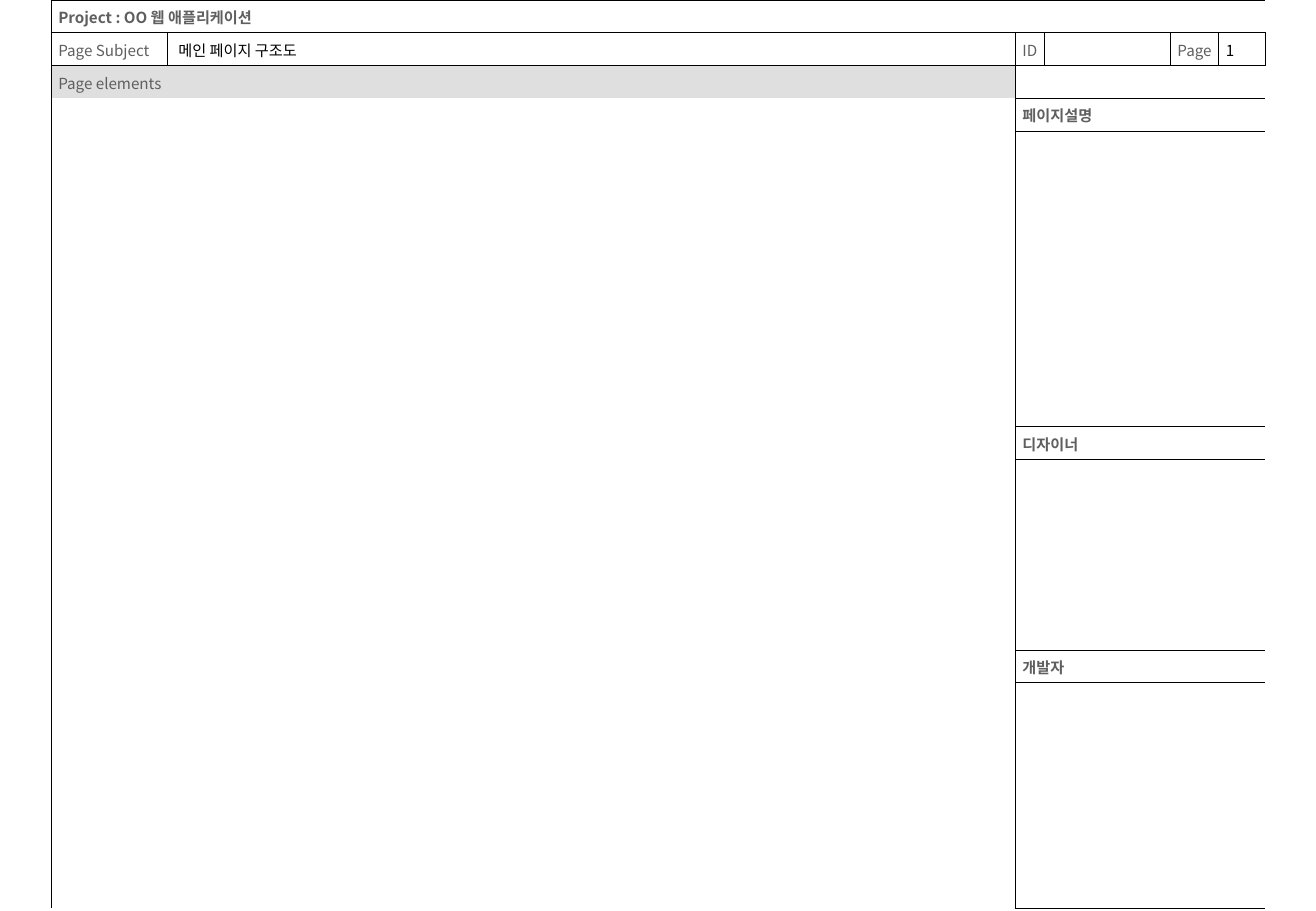
from lxml import etree
from pptx import Presentation
from pptx.dml.color import RGBColor
from pptx.enum.text import MSO_ANCHOR
from pptx.oxml.ns import qn
from pptx.util import Inches, Pt

MIDDLE = MSO_ANCHOR.MIDDLE
TOP = MSO_ANCHOR.TOP
FONT = "Noto Sans CJK KR"
TEXT_SIZE = 9
GRAY, BLACK, BAND = "5F5F5F", "000000", "DFDFDF"
OUTER_LINE, INNER_LINE = 0.23, 0.45
COLUMN_WIDTHS = [0.96, 6.99, 0.24, 1.04, 0.4, 0.38]
ROW_HEIGHTS = [0.27, 0.27, 0.27, 0.27, 2.44, 0.27, 1.57, 0.27, 1.86]


def rgb(hex_colour):
    """Turn a hex string into a colour."""
    return RGBColor.from_string(hex_colour)


def write_text(cell, text, colour=GRAY, bold=False, left=0.06, right=0.06, anchor=TOP):
    """Write formatted text into a cell; an empty cell keeps the small size."""
    cell.margin_left, cell.margin_right = Inches(left), Inches(right)
    cell.margin_top, cell.margin_bottom = Inches(0.05), Inches(0.03)
    cell.vertical_anchor = anchor
    paragraph = cell.text_frame.paragraphs[0]
    if text:
        paragraph.space_before = Pt(2.2)
        run = paragraph.add_run()
        run.text = text
        run.font.size, run.font.bold = Pt(TEXT_SIZE), bold
        run.font.color.rgb = rgb(colour)
        run.font.name = FONT
        etree.SubElement(run._r.get_or_add_rPr(), qn("a:ea"), typeface=FONT)
    else:
        etree.SubElement(paragraph._p, qn("a:endParaRPr"), sz=str(TEXT_SIZE * 100))


def draw_border(cell, side, width):
    """Draw one side of a cell, or clear it when the width is zero."""
    line = etree.SubElement(cell._tc.get_or_add_tcPr(), qn("a:ln" + side), w=str(Pt(width)))
    if width:
        fill = etree.SubElement(line, qn("a:solidFill"))
        etree.SubElement(fill, qn("a:srgbClr"), val=BLACK)
    else:
        etree.SubElement(line, qn("a:noFill"))


def add_region(table, row, column, text="", rows=1, columns=1, fill=None, open_sides="", **text_format):
    """Merge a block of cells, outline it, fill it and write its text."""
    last_row, last_column = row + rows - 1, column + columns - 1
    for r in range(row, last_row + 1):
        for c in range(column, last_column + 1):
            cell = table.cell(r, c)
            edges = [
                ("L", c == column, c == 0),
                ("R", c == last_column, c == len(COLUMN_WIDTHS) - 1),
                ("T", r == row, r == 0),
                ("B", r == last_row, r == len(ROW_HEIGHTS) - 1),
            ]
            for side, on_edge, is_outer in edges:
                shown = on_edge and side not in open_sides
                draw_border(cell, side, (OUTER_LINE if is_outer else INNER_LINE) if shown else 0)
            if fill:
                cell.fill.solid()
                cell.fill.fore_color.rgb = rgb(fill)
            else:
                cell.fill.background()
            write_text(cell, text if (r, c) == (row, column) else "", **text_format)
    if rows * columns > 1:
        table.cell(row, column).merge(table.cell(last_row, last_column))


def add_header(table):
    """Fill the project row and the page subject row."""
    add_region(table, 0, 0, "Project : OO 웹 애플리케이션", columns=6, bold=True)
    add_region(table, 1, 0, "Page Subject")
    add_region(table, 1, 1, "메인 페이지 구조도", colour=BLACK, left=0.09)
    add_region(table, 1, 2, "ID", right=0.03)
    add_region(table, 1, 3)
    add_region(table, 1, 4, "Page", right=0.03)
    add_region(table, 1, 5, "1", colour=BLACK, anchor=MIDDLE)


def add_page_elements(table):
    """Fill the gray band and the open page area below it."""
    add_region(table, 2, 0, "Page elements", columns=2, fill=BAND, open_sides="B")
    add_region(table, 3, 0, rows=6, columns=2, open_sides="T")


def add_notes_column(table):
    """Fill the right column with its headings and empty boxes."""
    add_region(table, 2, 2, columns=4)
    for index, heading in enumerate(["페이지설명", "디자이너", "개발자"]):
        heading_row = 3 + 2 * index
        add_region(table, heading_row, 2, heading, columns=4, bold=True)
        add_region(table, heading_row + 1, 2, columns=4)


def add_storyboard(slide, left, top, width, height):
    """Place the storyboard table in the given box."""
    frame = slide.shapes.add_table(
        len(ROW_HEIGHTS), len(COLUMN_WIDTHS),
        Inches(left), Inches(top), Inches(width), Inches(height),
    )
    table = frame.table
    table.first_row = table.horz_banding = False
    for column, share in zip(table.columns, COLUMN_WIDTHS):
        column.width = Inches(width * share / sum(COLUMN_WIDTHS))
    for row, share in zip(table.rows, ROW_HEIGHTS):
        row.height = Inches(height * share / sum(ROW_HEIGHTS))
    add_header(table)
    add_page_elements(table)
    add_notes_column(table)


def main():
    """Build the slide and save it."""
    presentation = Presentation()
    presentation.slide_width, presentation.slide_height = Inches(10.84), Inches(7.5)
    slide = presentation.slides.add_slide(presentation.slide_layouts[6])
    add_storyboard(slide, 0.42, 0, 10, 7.48)
    presentation.save("out.pptx")


if __name__ == "__main__":
    main()
